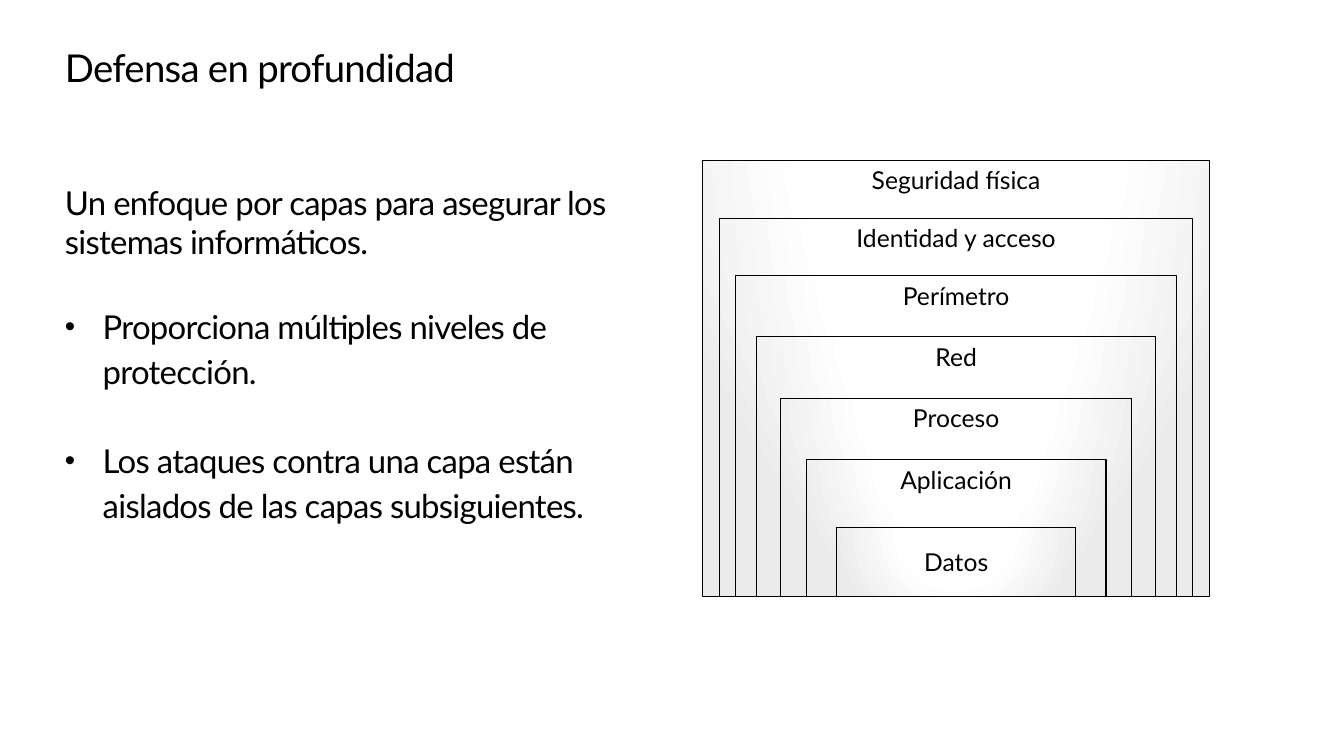
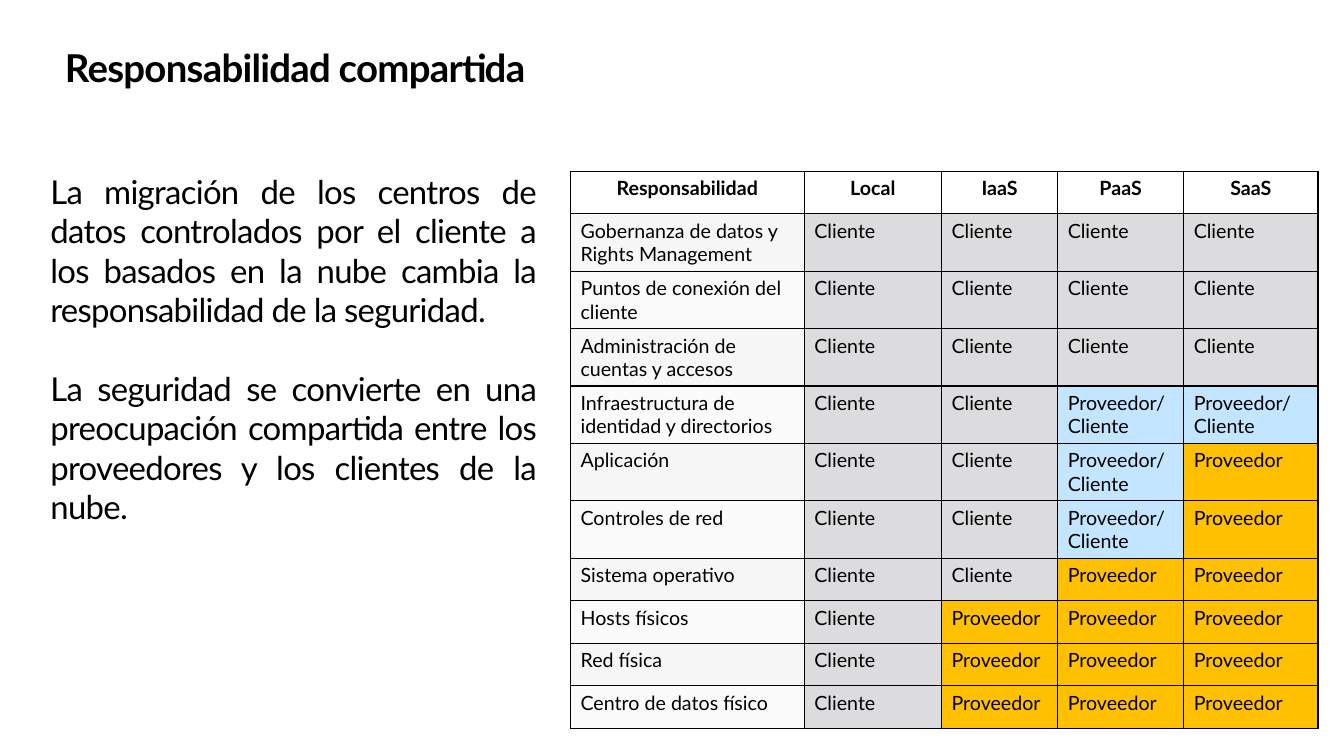
"""Build two slides on defence in depth and shared responsibility."""
from pptx import Presentation
from pptx.dml.color import RGBColor
from pptx.enum import shapes, text
from pptx.oxml import parse_xml
from pptx.oxml.ns import nsdecls, qn
from pptx.util import Pt

FONT = "Lato"
COLORS = {
    "ink": "000000", "paper": "FFFFFF", "edge": "EBEBEB",
    "odd": "F7F7F7", "even": "FBFBFB",
    "client": "DCDCDE", "shared": "C3E5FF", "provider": "FFC000",
}
TITLE_SIZE, BODY_SIZE, LAYER_SIZE, TABLE_SIZE = 27.4, 23.5, 17.6, 14

DEFENSE_TITLE = "Defensa en profundidad"
DEFENSE_INTRO = "Un enfoque por capas para asegurar los sistemas informáticos."
DEFENSE_BULLETS = [
    ("Proporciona múltiples niveles de protección.", 28),
    ("Los ataques contra una capa están aislados de las capas subsiguientes.", 32),
]
LAYERS = [
    ("Seguridad física", 114.5, 362),
    ("Identidad y acceso", 156, 338),
    ("Perímetro", 197, 315),
    ("Red", 240.5, 285),
    ("Proceso", 284.5, 251),
    ("Aplicación", 328.5, 214),
    ("Datos", 377, 171),
]
LAYER_CENTER, LAYER_BOTTOM = 683, 426

SHARED_TITLE = "Responsabilidad compartida"
SHARED_BODY = [
    "La migración de los centros de datos controlados por el cliente a los basados "
    "en la nube cambia la responsabilidad de la seguridad.",
    "La seguridad se convierte en una preocupación compartida entre los proveedores "
    "y los clientes de la nube.",
]
HEADERS = ["Responsabilidad", "Local", "IaaS", "PaaS", "SaaS"]
OWNERS = {
    "C": ("Cliente", "client"),
    "S": ("Proveedor/\nCliente", "shared"),
    "P": ("Proveedor", "provider"),
}
DUTIES = [
    ("Gobernanza de datos y Rights Management", "CCCC", 41),
    ("Puntos de conexión del cliente", "CCCC", 41),
    ("Administración de cuentas y accesos", "CCCC", 41),
    ("Infraestructura de identidad y directorios", "CCSS", 41),
    ("Aplicación", "CCSP", 41),
    ("Controles de red", "CCSP", 41),
    ("Sistema operativo", "CCPP", 30.4),
    ("Hosts físicos", "CPPP", 30.4),
    ("Red física", "CPPP", 30.4),
    ("Centro de datos físico", "CPPP", 30.4),
]
HEADER_HEIGHT = 30.4
COLUMN_WIDTHS = [167, 98, 83, 90, 96]


def color(name):
    return RGBColor.from_string(COLORS[name])


def style(para, size, bold=False, align=None, tight=False):
    para.alignment = align
    font = para.font
    font.name, font.size, font.bold = FONT, Pt(size), bold
    font.color.rgb = color("ink")
    if tight:
        para._p.pPr.find(qn("a:defRPr")).set("spc", "-50")


def add_text(page, left, top, width, height, lines):
    box = page.shapes.add_textbox(Pt(left), Pt(top), Pt(width), Pt(height))
    frame = box.text_frame
    frame.word_wrap = True
    frame.margin_left = frame.margin_right = frame.margin_top = frame.margin_bottom = 0
    frame.text = "\n".join(lines)
    return frame.paragraphs


def add_page(deck, title, bold=False):
    page = deck.slides.add_slide(deck.slide_layouts[6])
    para = add_text(page, 46.4, 35.5, 880, 40, [title])[0]
    para.line_spacing = 0.9
    style(para, TITLE_SIZE, bold, tight=True)
    return page


def add_bullet(para):
    properties = para._p.get_or_add_pPr()
    properties.set("marL", str(Pt(27)))
    properties.set("indent", str(-Pt(27)))
    for tag in ('buSzPct val="90000"', 'buFont typeface="Arial"', 'buChar char="•"'):
        properties.append(parse_xml(f'<a:{tag} {nsdecls("a")}/>'))


def fill_radial(shape):
    stops = "".join(
        f'<a:gs pos="{place * 1000}"><a:srgbClr val="{COLORS[name]}"/></a:gs>'
        for place, name in [(0, "paper"), (46, "paper"), (100, "edge")])
    gradient = parse_xml(
        f'<a:gradFill {nsdecls("a")} rotWithShape="1"><a:gsLst>{stops}</a:gsLst>'
        '<a:path path="circle"><a:fillToRect l="50000" t="-80000" r="50000" b="180000"/>'
        '</a:path></a:gradFill>')
    shape._element.spPr.find(qn("a:prstGeom")).addnext(gradient)


def add_layer(page, label, top, width):
    layer = page.shapes.add_shape(
        shapes.MSO_SHAPE.RECTANGLE, Pt(LAYER_CENTER - width / 2), Pt(top),
        Pt(width), Pt(LAYER_BOTTOM - top))
    layer.shadow.inherit = False
    fill_radial(layer)
    layer.line.color.rgb = color("ink")
    layer.line.width = Pt(0.85)
    frame = layer.text_frame
    frame.text = label
    innermost = label == LAYERS[-1][0]
    frame.vertical_anchor = text.MSO_ANCHOR.MIDDLE if innermost else text.MSO_ANCHOR.TOP
    style(frame.paragraphs[0], LAYER_SIZE, align=text.PP_ALIGN.CENTER)


def set_cell(cell, words, fill, bold=False, align=None):
    cell.text = words
    cell.fill.solid()
    cell.fill.fore_color.rgb = color(fill)
    for para in cell.text_frame.paragraphs:
        style(para, TABLE_SIZE, bold, align)
    for index, side in enumerate("LRTB"):
        cell._tc.tcPr.insert(index, parse_xml(
            f'<a:ln{side} {nsdecls("a")} w="{Pt(1)}"><a:solidFill>'
            f'<a:srgbClr val="{COLORS["ink"]}"/></a:solidFill></a:ln{side}>'))


def add_duties(page):
    heights = [HEADER_HEIGHT] + [height for _, _, height in DUTIES]
    table = page.shapes.add_table(
        len(heights), len(HEADERS), Pt(407.5), Pt(122.4),
        Pt(sum(COLUMN_WIDTHS)), Pt(sum(heights))).table
    table.first_row = table.horz_banding = False
    for column, width in zip(table.columns, COLUMN_WIDTHS):
        column.width = Pt(width)
    for row, height in zip(table.rows, heights):
        row.height = Pt(height)
    for column, header in enumerate(HEADERS):
        set_cell(table.cell(0, column), header, "paper", True, text.PP_ALIGN.CENTER)
    for row, (duty, owners, _) in enumerate(DUTIES, 1):
        set_cell(table.cell(row, 0), duty, "odd" if row % 2 else "even")
        for column, owner in enumerate(owners, 1):
            set_cell(table.cell(row, column), *OWNERS[owner])


def build_defense(deck):
    page = add_page(deck, DEFENSE_TITLE)
    lines = [DEFENSE_INTRO] + [line for line, _ in DEFENSE_BULLETS]
    intro, *bullets = add_text(page, 46.4, 130.4, 412, 246, lines)
    style(intro, BODY_SIZE, tight=True)
    for para, (_, gap) in zip(bullets, DEFENSE_BULLETS):
        add_bullet(para)
        para.line_spacing = 1.14
        para.space_before = Pt(gap)
        style(para, BODY_SIZE, tight=True)
    for layer in LAYERS:
        add_layer(page, *layer)


def build_shared(deck):
    page = add_page(deck, SHARED_TITLE, bold=True)
    for index, para in enumerate(add_text(page, 36, 122.4, 347, 254, SHARED_BODY)):
        if index:
            para.space_before = Pt(28)
        style(para, BODY_SIZE, align=text.PP_ALIGN.JUSTIFY, tight=True)
    add_duties(page)


def main():
    deck = Presentation()
    deck.slide_width, deck.slide_height = Pt(960), Pt(540)
    build_defense(deck)
    build_shared(deck)
    deck.save("out.pptx")


if __name__ == "__main__":
    main()
